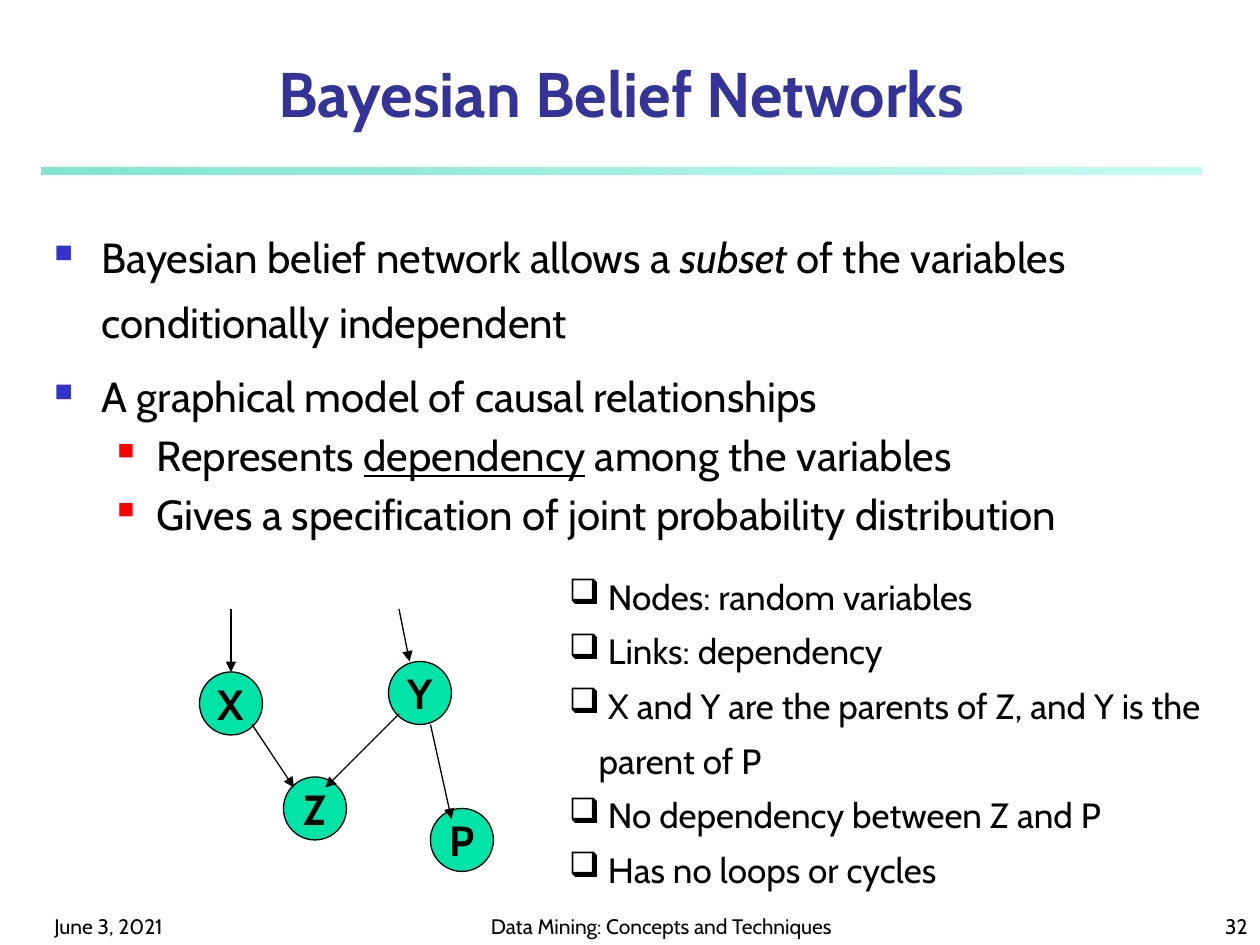
from dataclasses import dataclass

from lxml import etree
from pptx import Presentation
from pptx import util as u
from pptx.dml import color
from pptx.enum import shapes, text
from pptx.oxml import ns

COLORS = {
    "text": "000000",
    "title": "333399",
    "bullet": "3333CC",
    "subbullet": "FF0000",
    "node": "00E4A8",
    "rule_start": "00CE98",
    "rule_end": "8FF9EF",
}
FONT = "Cabin"
NODE_SIZE = 36


@dataclass
class Bullet:
    char: str
    margin: float
    hanging: float
    color: str = "text"
    percent: int = 100


@dataclass
class Node:
    label: str
    left: float
    top: float


@dataclass
class Arrow:
    x1: float
    y1: float
    x2: float
    y2: float


@dataclass
class Footer:
    words: str
    left: float
    width: float
    align: text.PP_ALIGN


TOPIC = Bullet("■", 27, 27, "bullet", 60)
DETAIL = Bullet("■", 58.5, 22.5, "subbullet", 55)
BOX = Bullet("❑", 17, 17)

NODES = [
    Node("X", 114, 384),
    Node("Y", 222, 378),
    Node("Z", 162, 444),
    Node("P", 246, 462),
]
ARROWS = [
    Arrow(144, 414, 168, 450),
    Arrow(228, 408, 186, 450),
    Arrow(246, 414, 258, 468),
    Arrow(132, 348, 132, 384),
    Arrow(228, 348, 234, 378),
]
FOOTERS = [
    Footer("June 3, 2021", 24, 150, text.PP_ALIGN.LEFT),
    Footer("Data Mining: Concepts and Techniques", 264, 228, text.PP_ALIGN.CENTER),
    Footer("32", 570, 150, text.PP_ALIGN.RIGHT),
]
NOTES = [
    " Nodes: random variables",
    " Links: dependency",
    " X and Y are the parents of Z, and Y is the parent of P",
    " No dependency between Z and P",
    " Has no loops or cycles",
]


def rgb(name: str) -> color.RGBColor:
    return color.RGBColor.from_string(COLORS[name])


def add_element(parent, tag: str, **attrs):
    return etree.SubElement(parent, ns.qn(tag), attrs)


def set_bullet(p, bullet: Bullet) -> None:
    pPr = p._p.get_or_add_pPr()
    pPr.set("marL", str(u.Pt(bullet.margin)))
    pPr.set("indent", str(-u.Pt(bullet.hanging)))
    add_element(add_element(pPr, "a:buClr"), "a:srgbClr", val=COLORS[bullet.color])
    add_element(pPr, "a:buSzPct", val=str(bullet.percent * 1000))
    add_element(pPr, "a:buChar", char=bullet.char)


def write(tf, *parts: str, size: float, color_name: str = "text", bold: bool = False,
          align=text.PP_ALIGN.LEFT, italic: str = "", underline: str = "",
          bullet: Bullet | None = None, spacing: float = 1, before: float = 0) -> None:
    p = tf.paragraphs[0]
    if p.runs:
        p = tf.add_paragraph()
    p.alignment = align
    p.line_spacing = spacing
    p.space_before = u.Pt(before)
    if bullet:
        set_bullet(p, bullet)
    for part in parts:
        r = p.add_run()
        r.text = part
        r.font.name = FONT
        r.font.size = u.Pt(size)
        r.font.bold = bold
        r.font.italic = part == italic
        r.font.underline = part == underline
        r.font.color.rgb = rgb(color_name)


def add_box(s, left: float, top: float, width: float, height: float,
            anchor=text.MSO_ANCHOR.TOP):
    tf = s.shapes.add_textbox(u.Pt(left), u.Pt(top), u.Pt(width), u.Pt(height)).text_frame
    tf.word_wrap = True
    tf.vertical_anchor = anchor
    return tf


def add_rule(s) -> None:
    sp = s.shapes.add_shape(shapes.MSO_SHAPE.RECTANGLE,
                            u.Pt(24), u.Pt(96), u.Pt(662.4), u.Pt(4))
    sp.shadow.inherit = False
    sp.line.fill.background()
    sp.fill.gradient()
    sp.fill.gradient_angle = 0
    for stop, name in zip(sp.fill.gradient_stops, ("rule_start", "rule_end")):
        stop.color.rgb = rgb(name)
    for clr, alpha in zip(sp._element.spPr.iter(ns.qn("a:srgbClr")), (50, 52)):
        add_element(clr, "a:alpha", val=str(alpha * 1000))


def add_node(s, node: Node) -> None:
    sp = s.shapes.add_shape(shapes.MSO_SHAPE.FLOWCHART_CONNECTOR, u.Pt(node.left),
                            u.Pt(node.top), u.Pt(NODE_SIZE), u.Pt(NODE_SIZE))
    sp.shadow.inherit = False
    sp.fill.solid()
    sp.fill.fore_color.rgb = rgb("node")
    sp.line.color.rgb = rgb("text")
    sp.line.width = u.Pt(0.75)
    tf = sp.text_frame
    tf.word_wrap = False
    tf.vertical_anchor = text.MSO_ANCHOR.MIDDLE
    write(tf, node.label, size=24, bold=True, align=text.PP_ALIGN.CENTER)


def add_arrow(s, arrow: Arrow) -> None:
    line = s.shapes.add_connector(shapes.MSO_CONNECTOR.STRAIGHT, u.Pt(arrow.x1),
                                  u.Pt(arrow.y1), u.Pt(arrow.x2), u.Pt(arrow.y2))
    line.line.color.rgb = rgb("text")
    line.line.width = u.Pt(0.75)
    add_element(line.line._get_or_add_ln(), "a:tailEnd", type="triangle")
    add_element(line._element.spPr, "a:effectLst")


def main() -> None:
    prs = Presentation()
    prs.slide_width, prs.slide_height = u.Pt(720), u.Pt(540)
    s = prs.slides.add_slide(prs.slide_layouts[6])

    add_rule(s)
    for footer in FOOTERS:
        tf = add_box(s, footer.left, 510, footer.width, 30, text.MSO_ANCHOR.BOTTOM)
        write(tf, footer.words, size=12, align=footer.align)

    title = add_box(s, 24, 30, 662, 48, text.MSO_ANCHOR.BOTTOM)
    write(title, "Bayesian Belief Networks", size=36, color_name="title", bold=True,
          align=text.PP_ALIGN.CENTER)

    body = add_box(s, 24, 120, 672, 396)
    topic = dict(size=24, bullet=TOPIC, spacing=1.3, before=4.8)
    detail = dict(size=24, bullet=DETAIL, before=4.8)
    write(body, "Bayesian belief network allows a ", "subset",
          " of the variables conditionally independent", italic="subset", **topic)
    write(body, "A graphical model of causal relationships", **topic)
    write(body, "Represents ", "dependency", " among the variables",
          underline="dependency", **detail)
    write(body, "Gives a specification of joint probability distribution", **detail)

    for node in NODES:
        add_node(s, node)
    for arrow in ARROWS:
        add_arrow(s, arrow)

    notes = add_box(s, 318, 318, 389, 194)
    for note in NOTES:
        write(notes, note, size=20, bullet=BOX, spacing=1.3)

    prs.save("out.pptx")


if __name__ == "__main__":
    main()
